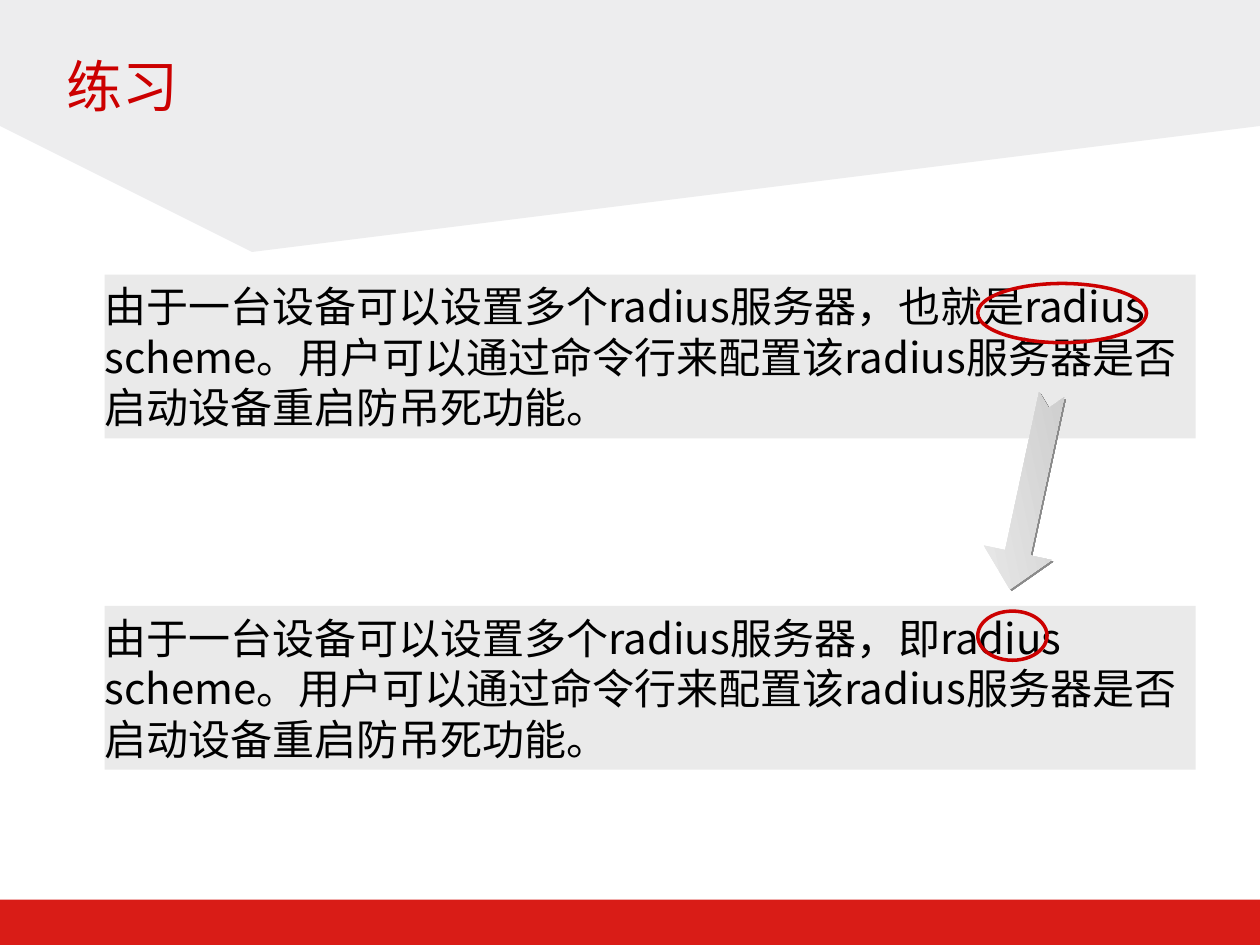
from lxml.etree import SubElement
from pptx import Presentation
from pptx.dml.color import RGBColor
from pptx.enum.shapes import MSO_SHAPE as SHAPE
from pptx.enum.text import MSO_ANCHOR as ANCHOR, MSO_AUTO_SIZE as AUTO, PP_ALIGN as ALIGN
from pptx.oxml.ns import qn
from pptx.util import Inches, Pt

WIDTH, HEIGHT = 10, 7.5
RED, BLACK, PANEL = "CC0000", "000000", "EAEAEA"
CJK_FONT = "Noto Sans CJK SC"
PANEL_LEFT, PANEL_WIDTH, PANEL_HEIGHT = 0.83, 8.66, 1.3
CIRCLE_LEFT = 7.76
OPENING = "由于一台设备可以设置多个radius服务器，"
ENDING = "radius scheme。用户可以通过命令行来配置该radius服务器是否启动设备重启防吊死功能。"


def color(value):
    return RGBColor.from_string(value)


def add_run(p, text, size, font, fill):
    r = p.add_run()
    r.text = text
    r.font.size = Pt(size)
    r.font.name = font
    r.font.color.rgb = color(fill)
    SubElement(r.font._element, qn("a:ea")).set("typeface", CJK_FONT)


def add_shape(slide, kind, left, top, width, height, fill=None):
    """Add a preset shape without outline or shadow; no fill leaves it hollow."""
    box = [Inches(v) for v in (left, top, width, height)]
    sp = slide.shapes.add_shape(kind, *box)
    sp.shadow.inherit = False
    sp.line.fill.background()
    if fill:
        sp.fill.solid()
        sp.fill.fore_color.rgb = color(fill)
    else:
        sp.fill.background()
    return sp


def add_header(slide):
    points = [(WIDTH, 0), (WIDTH, 0.64), (1.92, 1.68), (0, 1.42)]
    builder = slide.shapes.build_freeform(0, 0, scale=Inches(1))
    builder.add_line_segments(points, close=True)
    sp = builder.convert_to_shape()
    sp.shadow.inherit = False
    sp.fill.solid()
    sp.fill.fore_color.rgb = color("EDEDEE")
    sp.line.fill.background()


def set_title(slide, text):
    sp = slide.shapes.title
    sp.left, sp.top, sp.width, sp.height = map(Inches, (0.43, 0.36, 7.57, 0.94))
    slide.shapes._spTree.append(sp._element)  # in front of the header
    tf = sp.text_frame
    tf.vertical_anchor = ANCHOR.TOP
    p = tf.paragraphs[0]
    p.alignment = ALIGN.LEFT
    add_run(p, text, 32, "Times New Roman", RED)


def add_panel(slide, top, text):
    sp = add_shape(slide, SHAPE.RECTANGLE, PANEL_LEFT, top,
                   PANEL_WIDTH, PANEL_HEIGHT, PANEL)
    tf = sp.text_frame
    tf.word_wrap = True
    tf.auto_size = AUTO.SHAPE_TO_FIT_TEXT
    tf.vertical_anchor = ANCHOR.TOP
    tf.margin_left = tf.margin_right = 0
    p = tf.paragraphs[0]
    p.alignment = ALIGN.LEFT
    p.line_spacing = Pt(28.8)
    add_run(p, text, 24, CJK_FONT, BLACK)


def add_circle(slide, top, width, height):
    sp = add_shape(slide, SHAPE.OVAL, CIRCLE_LEFT, top, width, height)
    sp.line.color.rgb = color(RED)
    sp.line.width = Pt(2)


def add_arrow(slide):
    sp = add_shape(slide, SHAPE.NOTCHED_RIGHT_ARROW, 7.39, 3.63, 1.58, 0.55)
    sp.rotation = 102.1
    sp.adjustments[0], sp.adjustments[1] = 0.37, 0.54
    sp.fill.gradient()
    sp.fill.gradient_angle = 114
    for stop, value, position in zip(sp.fill.gradient_stops, (PANEL, "C9C9C9"), (0, 1)):
        stop.color.rgb = color(value)
        stop.position = position
    effects = sp._element.spPr.find(qn("a:effectLst"))
    shadow = SubElement(effects, qn("a:outerShdw"), dist=str(Pt(1.4)),
                        dir=str(45 * 60000), algn="ctr", rotWithShape="0")
    SubElement(shadow, qn("a:srgbClr"), val="8B8B8B")


def main():
    prs = Presentation()
    prs.slide_width, prs.slide_height = Inches(WIDTH), Inches(HEIGHT)
    slide = prs.slides.add_slide(prs.slide_layouts[5])
    add_shape(slide, SHAPE.RECTANGLE, 0, 7.14, WIDTH, 0.36, "D91C17")
    add_header(slide)
    set_title(slide, "练习")
    for top, link in ((2.18, "也就是"), (4.81, "即")):
        add_panel(slide, top, OPENING + link + ENDING)
    add_circle(slide, 2.25, 1.34, 0.47)
    add_arrow(slide)
    add_circle(slide, 4.85, 0.55, 0.39)
    prs.save("out.pptx")


if __name__ == "__main__":
    main()
